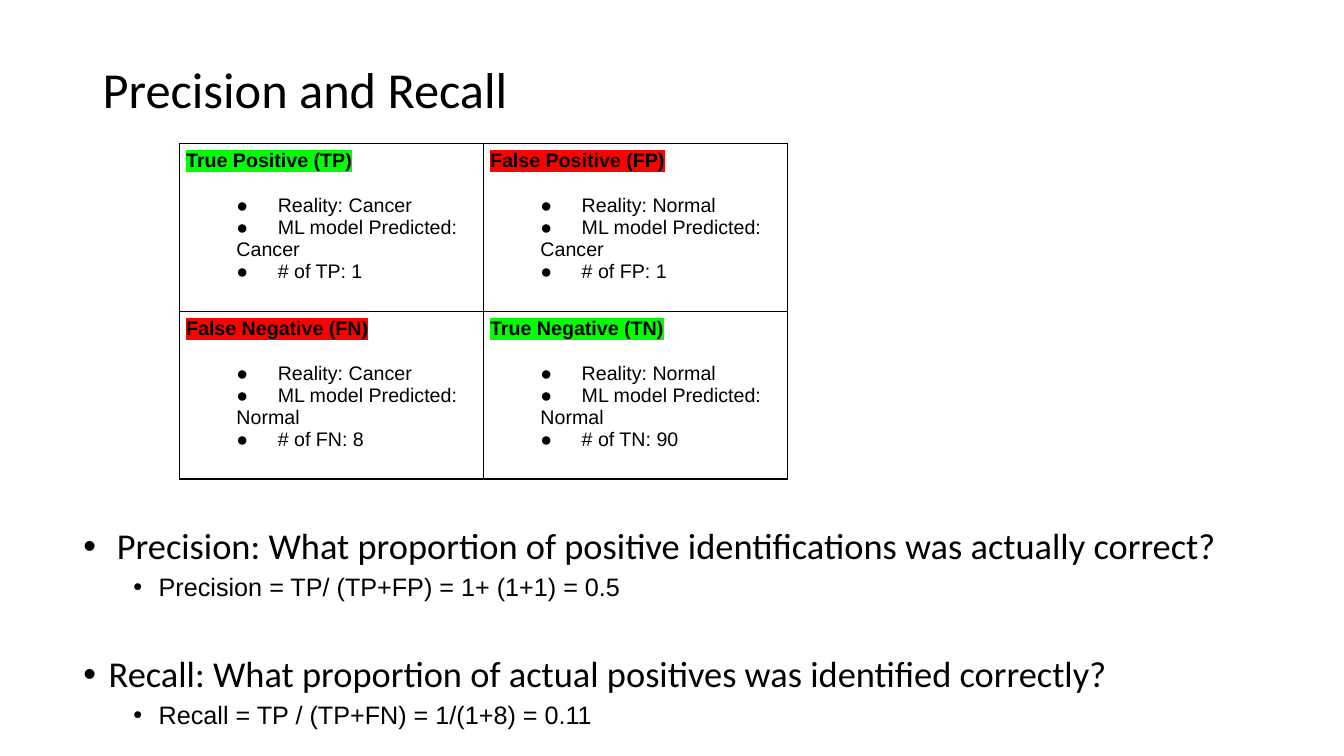
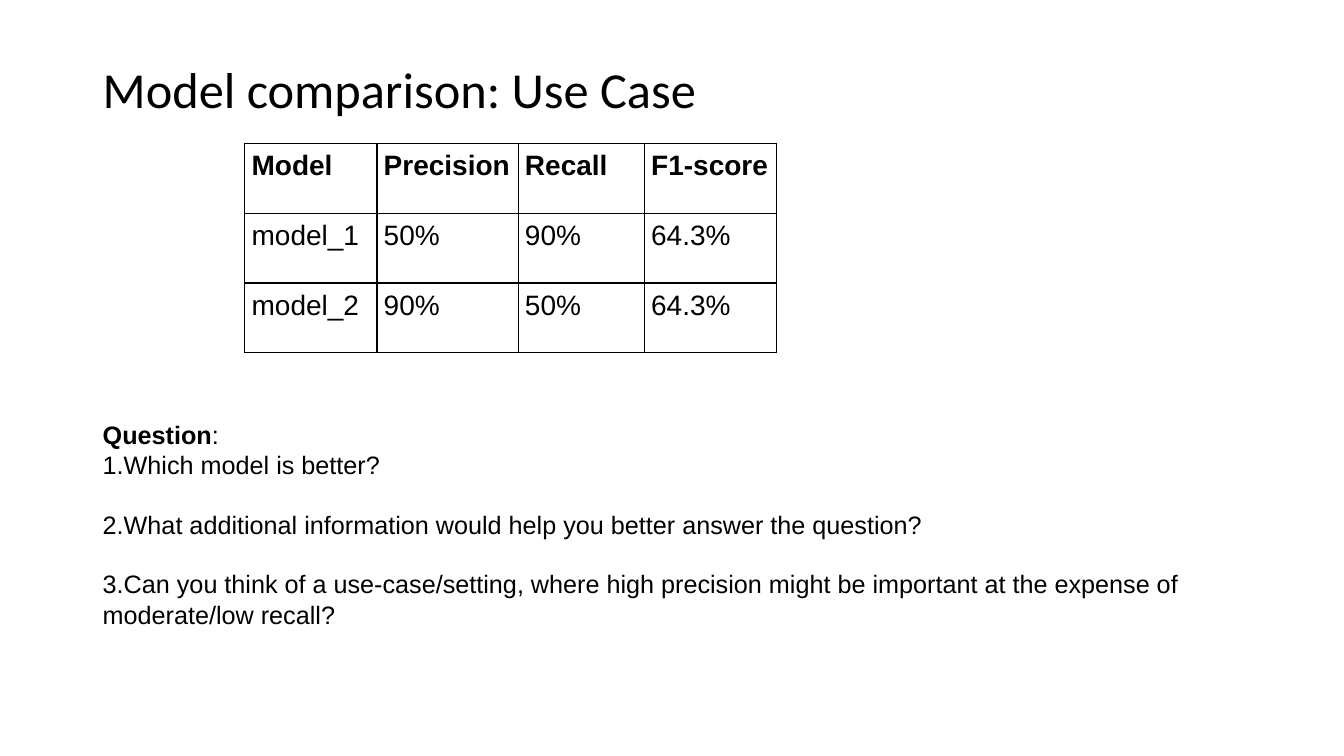
import dataclasses

import lxml.etree
import pptx
import pptx.dml.color
import pptx.enum.text
import pptx.oxml.ns
import pptx.util

Cm = pptx.util.Cm
Pt = pptx.util.Pt
qn = pptx.oxml.ns.qn


@dataclasses.dataclass(frozen=True)
class Theme:
    ink: str = "000000"
    paper: str = "FFFFFF"
    right: str = "00FF00"
    wrong: str = "FF0000"
    heading_font: str = "Calibri"
    text_font: str = "Arial"
    title_size: int = 36
    point_size: int = 26
    text_size: int = 18
    matrix_size: int = 14
    score_size: int = 20
    line_spacing: float = 0.9
    border: float = 1
    cell_inset: float = 0.17


THEME = Theme()
TITLE_BOX = (2.34, 1.02, 29.21, 2.59)
TABLE_TOP = 3.61


def rgb(value):
    return pptx.dml.color.RGBColor.from_string(value)


def sub(parent, tag, **attrs):
    return lxml.etree.SubElement(parent, qn(tag), attrs)


def add_run(p, text, size, font=THEME.text_font, bold=False, highlight=None):
    r = p.add_run()
    r.text = text
    r.font.size = Pt(size)
    r.font.bold = bold
    r.font.name = font
    r.font.color.rgb = rgb(THEME.ink)
    if highlight:
        mark = lxml.etree.Element(qn("a:highlight"))
        sub(mark, "a:srgbClr", val=highlight)
        r.font._element.find(qn("a:solidFill")).addnext(mark)


def add_paragraph(tf, before=0, after=0, spacing=1.0):
    p = tf.paragraphs[0]
    if p.runs:
        p = tf.add_paragraph()
    p.space_before = Pt(before)
    p.space_after = Pt(after)
    p.line_spacing = spacing
    return p


def set_bullet(p, char=None, left=0, hang=0, tabs=()):
    ppr = p._p.get_or_add_pPr()
    ppr.set("marL", str(Cm(left)))
    ppr.set("indent", str(Cm(-hang)))
    if char:
        sub(ppr, "a:buFont", typeface=THEME.text_font)
        sub(ppr, "a:buChar", char=char)
    else:
        sub(ppr, "a:buFont", typeface="+mj-lt")
        sub(ppr, "a:buAutoNum", type="arabicPeriod")
    if tabs:
        stops = sub(ppr, "a:tabLst")
        for stop in tabs:
            sub(stops, "a:tab", pos=str(Cm(stop)), algn="l")


def add_text_box(slide, box):
    tf = slide.shapes.add_textbox(*map(Cm, box)).text_frame
    tf.word_wrap = True
    return tf


def add_titled_slide(prs, title):
    slide = prs.slides.add_slide(prs.slide_layouts[6])
    tf = add_text_box(slide, TITLE_BOX)
    tf.vertical_anchor = pptx.enum.text.MSO_ANCHOR.MIDDLE
    p = add_paragraph(tf, spacing=THEME.line_spacing)
    add_run(p, title, THEME.title_size, THEME.heading_font)
    return slide


def style_cell(cell):
    inset = Cm(THEME.cell_inset)
    cell.margin_left = cell.margin_right = inset
    cell.margin_top = cell.margin_bottom = inset
    tcpr = cell._tc.get_or_add_tcPr()
    for side in ("L", "R", "T", "B"):
        ln = sub(tcpr, "a:ln" + side, w=str(Pt(THEME.border)))
        sub(sub(ln, "a:solidFill"), "a:srgbClr", val=THEME.ink)
    cell.fill.solid()
    cell.fill.fore_color.rgb = rgb(THEME.paper)


def add_grid(slide, left, top, widths, row_height, rows, fill_cell):
    frame = slide.shapes.add_table(
        len(rows), len(widths), Cm(left), Cm(top),
        Cm(sum(widths)), Cm(row_height * len(rows)))
    table = frame.table
    table.first_row = table.horz_banding = False
    for column, width in zip(table.columns, widths):
        column.width = Cm(width)
    for i, values in enumerate(rows):
        table.rows[i].height = Cm(row_height)
        for j, value in enumerate(values):
            cell = table.cell(i, j)
            style_cell(cell)
            fill_cell(cell.text_frame, value, i)


def fill_outcome(tf, outcome, row):
    name, short, reality, predicted, count = outcome
    color = THEME.right if name.startswith("True") else THEME.wrong
    p = add_paragraph(tf, after=16)
    add_run(p, f"{name} ({short})", THEME.matrix_size, bold=True, highlight=color)
    for text in (f"Reality: {reality}", f"ML model Predicted: {predicted}",
                 f"# of {short}: {count}"):
        p = add_paragraph(tf)
        set_bullet(p, "●", left=1.27, tabs=(1.04, 2.31))
        add_run(p, "\t" + text, THEME.matrix_size)


def fill_score(tf, value, row):
    add_run(add_paragraph(tf), value, THEME.score_size, bold=row == 0)


def add_definitions(slide, box, definitions):
    tf = add_text_box(slide, box)
    for i, (question, formula) in enumerate(definitions):
        p = add_paragraph(tf, before=39 if i else 10, spacing=THEME.line_spacing)
        set_bullet(p, "•", left=0.64, hang=0.64)
        add_run(p, question, THEME.point_size, THEME.heading_font)
        p = add_paragraph(tf, before=5, spacing=THEME.line_spacing)
        p.level = 1
        set_bullet(p, "•", left=1.9, hang=0.64)
        add_run(p, formula, THEME.text_size)


def add_questions(slide, box, questions):
    tf = add_text_box(slide, box)
    p = add_paragraph(tf)
    add_run(p, "Question", THEME.text_size, bold=True)
    add_run(p, ":", THEME.text_size)
    for i, question in enumerate(questions):
        p = add_paragraph(tf, before=21 if i else 0)
        set_bullet(p)
        add_run(p, question, THEME.text_size)


def build_precision_slide(prs):
    slide = add_titled_slide(prs, "Precision and Recall")
    outcomes = [
        [("True Positive", "TP", "Cancer", "Cancer", 1),
         ("False Positive", "FP", "Normal", "Cancer", 1)],
        [("False Negative", "FN", "Cancer", "Normal", 8),
         ("True Negative", "TN", "Normal", "Normal", 90)],
    ]
    add_grid(slide, 4.52, TABLE_TOP, (7.66, 7.66), 4.23, outcomes, fill_outcome)
    add_definitions(slide, (1.85, 13.18, 31.32, 5.56), [
        (" Precision: What proportion of positive identifications was actually correct?",
         "Precision = TP/ (TP+FP) = 1+ (1+1) = 0.5"),
        ("Recall: What proportion of actual positives was identified correctly?",
         "Recall = TP / (TP+FN) = 1/(1+8) = 0.11"),
    ])


def build_comparison_slide(prs):
    slide = add_titled_slide(prs, "Model comparison: Use Case")
    scores = [
        ("Model", "Precision", "Recall", "F1-score"),
        ("model_1", "50%", "90%", "64.3%"),
        ("model_2", "90%", "50%", "64.3%"),
    ]
    add_grid(slide, 6.17, TABLE_TOP, (3.33, 3.56, 3.18, 3.33), 1.76, scores, fill_score)
    add_questions(slide, (2.34, 10.44, 28.35, 5.64), [
        "Which model is better?",
        "What additional information would help you better answer the question?",
        "Can you think of a use-case/setting, where high precision might be important "
        "at the expense of moderate/low recall?",
    ])


def main():
    prs = pptx.Presentation()
    prs.slide_width = Cm(33.87)
    prs.slide_height = Cm(19.05)
    build_precision_slide(prs)
    build_comparison_slide(prs)
    prs.save("out.pptx")


if __name__ == "__main__":
    main()
